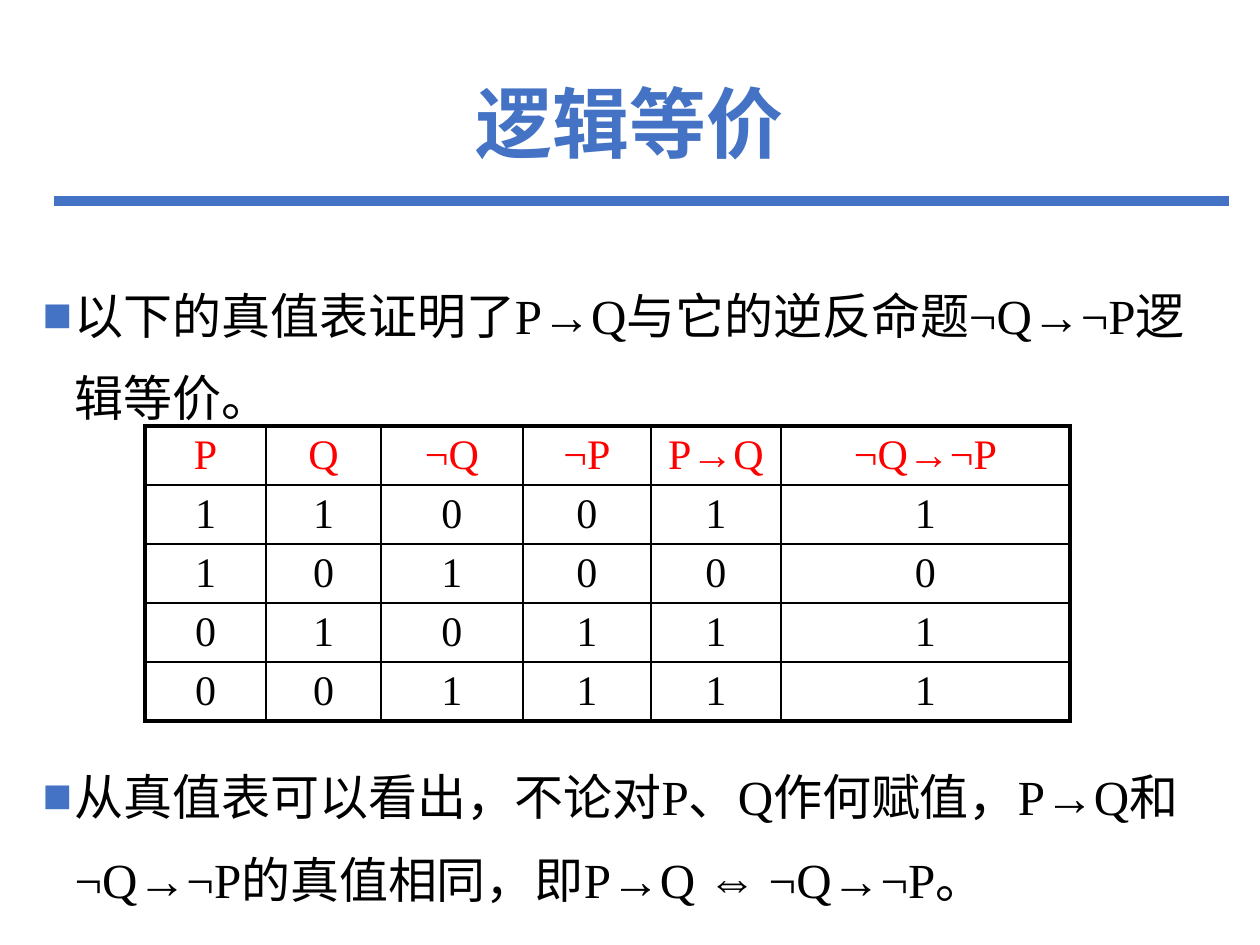
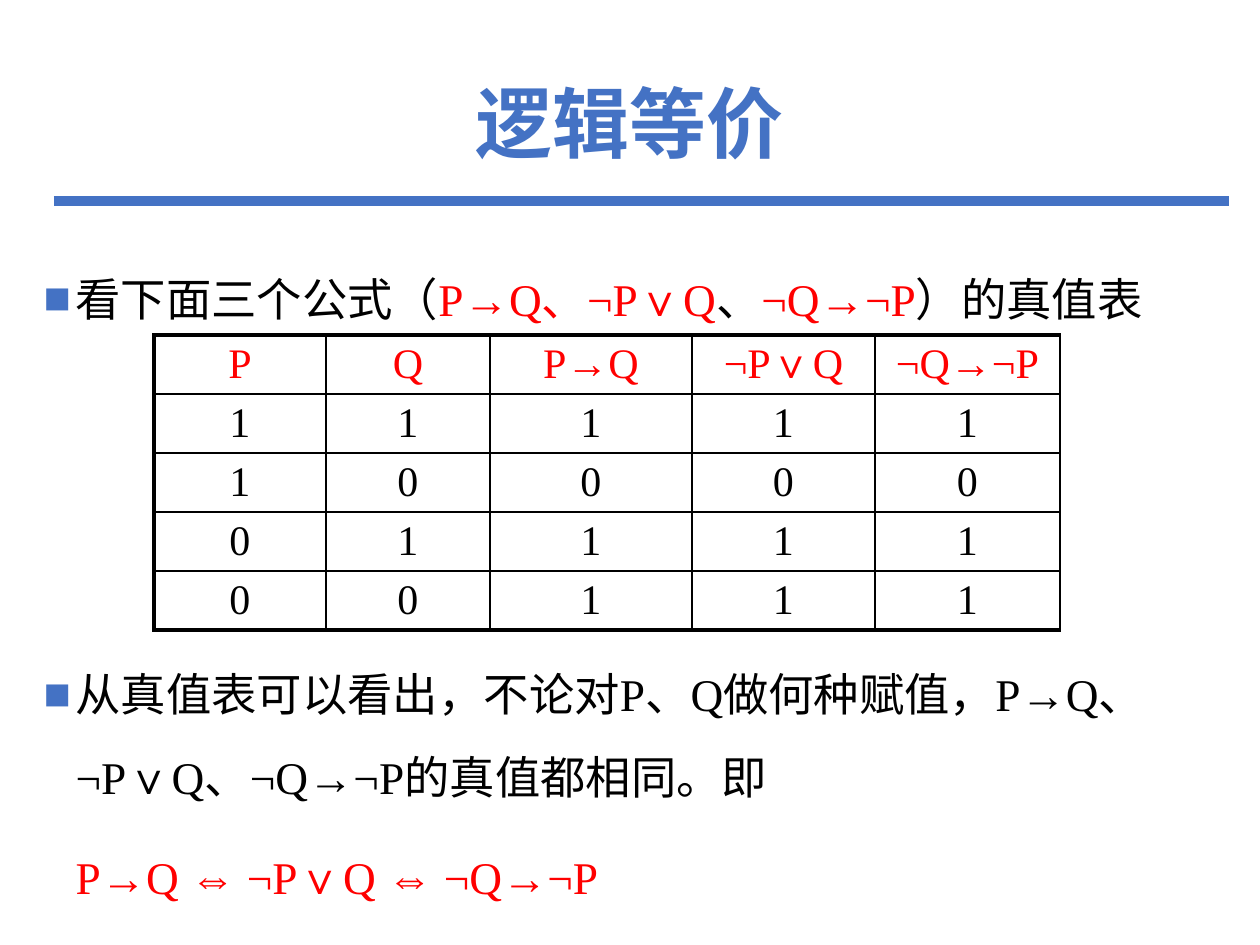
import pptx
import pptx.dml.color
import pptx.enum.shapes
import pptx.enum.text
import pptx.oxml
import pptx.oxml.ns
import pptx.util

BLUE = pptx.dml.color.RGBColor(0x44, 0x72, 0xC4)
RED = pptx.dml.color.RGBColor(0xFF, 0, 0)
BLACK = pptx.dml.color.RGBColor(0, 0, 0)
SANS = "Noto Sans CJK SC"
SERIF = "Times New Roman"
TITLE = "逻辑等价"
THICK, THIN = 2.25, 1
LEAD = 47
ROW = 59
ALIGN = pptx.enum.text.PP_ALIGN
MIDDLE = pptx.enum.text.MSO_ANCHOR.MIDDLE


def px(count):
    return pptx.util.Emu(round(count * 914400 / 126))


def add_xml(parent, tag, **attrs):
    node = pptx.oxml.parse_xml(f"<{tag} {pptx.oxml.ns.nsdecls('a')}/>")
    for name, value in attrs.items():
        node.set(name, str(value))
    parent.append(node)
    return node


def style(run, size, color, face=SERIF, bold=False):
    run.font.size = pptx.util.Pt(size)
    run.font.color.rgb = color
    run.font.name = face
    run.font.bold = bold


def set_east(run):
    """Choose the face for the Chinese characters of a run."""
    add_xml(run.font._element, "a:ea", typeface=SANS)


def place(shape, left, top, width, height):
    shape.left, shape.top = px(left), px(top)
    shape.width, shape.height = px(width), px(height)
    shape.text_frame.auto_size = pptx.enum.text.MSO_AUTO_SIZE.NONE
    shape.text_frame.word_wrap = True


def add_rule(slide):
    rule = slide.shapes.add_connector(
        pptx.enum.shapes.MSO_CONNECTOR.STRAIGHT,
        px(54), px(201), px(1229), px(201))
    rule.line.color.rgb = BLUE
    rule.line.width = pptx.util.Pt(6)
    add_xml(rule._element.spPr, "a:effectLst")


def add_slide(deck):
    """Add a slide with the shared title and the rule below it."""
    slide = deck.slides.add_slide(deck.slide_layouts[1])
    add_rule(slide)
    title = slide.shapes.title
    place(title, 87, 50, 1086, 156)
    frame = title.text_frame
    frame.text = TITLE
    frame.vertical_anchor = MIDDLE
    head = frame.paragraphs[0]
    head.alignment = ALIGN.CENTER
    head.line_spacing = 0.9
    style(head.runs[0], 44, BLUE, SANS, True)
    set_east(head.runs[0])
    return slide


def set_bullet(para, shown):
    props = para._p.get_or_add_pPr()
    indent = px(32)
    props.set("marL", str(indent))
    props.set("indent", str(-indent if shown else 0))
    if shown:
        color = add_xml(props, "a:buClr")
        add_xml(color, "a:srgbClr", val=BLUE)
        add_xml(props, "a:buFont", typeface=SERIF)
        add_xml(props, "a:buChar", char="■")
    else:
        add_xml(props, "a:buNone")


def fill_body(slide, left, top, size, items):
    """Fill the body; an item is (bullet shown, space before, parts)."""
    body = slide.placeholders[1]
    place(body, left, top, 1196, 689)
    frame = body.text_frame
    for index, (shown, gap, parts) in enumerate(items):
        para = frame.add_paragraph() if index else frame.paragraphs[0]
        set_bullet(para, shown)
        para.line_spacing = pptx.util.Pt(LEAD)
        para.space_before = pptx.util.Pt(gap)
        for text, color in parts:
            run = para.add_run()
            run.text = text
            style(run, size, color)
            set_east(run)


def set_border(cell, widths):
    props = cell._tc.get_or_add_tcPr()
    for side, width in zip("LRTB", widths):
        line = add_xml(props, f"a:ln{side}", w=pptx.util.Pt(width))
        fill = add_xml(line, "a:solidFill")
        add_xml(fill, "a:srgbClr", val=BLACK)


def set_cell(cell, text, color):
    cell.text = text
    cell.vertical_anchor = MIDDLE
    cell.margin_left = cell.margin_right = 0
    cell.margin_top = cell.margin_bottom = px(2)
    para = cell.text_frame.paragraphs[0]
    para.alignment = ALIGN.CENTER
    style(para.runs[0], 24, color)


def add_truth(slide, left, top, widths, heads, lines, right):
    """Draw a truth table; each line is a string of 0s and 1s."""
    rows = [heads, *lines]
    frame = slide.shapes.add_table(
        len(rows), len(heads), px(left), px(top),
        px(sum(widths)), px(ROW * len(rows)))
    table = frame.table
    table.first_row = table.horz_banding = False
    for column, width in zip(table.columns, widths):
        column.width = px(width)
    for y, row in enumerate(rows):
        table.rows[y].height = px(ROW)
        for x, text in enumerate(row):
            cell = table.cell(y, x)
            set_cell(cell, text, BLACK if y else RED)
            set_border(cell, (
                THIN if x else THICK,
                right if x == len(heads) - 1 else THIN,
                THIN if y else THICK,
                THICK if y == len(rows) - 1 else THIN))
            cell.fill.background()


def main():
    deck = pptx.Presentation()
    deck.slide_width, deck.slide_height = px(1260), px(945)

    slide = add_slide(deck)
    fill_body(slide, 30, 256, 28, [
        (True, 0, [("以下的真值表证明了P→Q与它的逆反命题¬Q→¬P逻辑等价。", BLACK)]),
        (True, 181, [("从真值表可以看出，不论对P、Q作何赋值，P→Q和¬Q→¬P的真值相同，"
                      "即P→Q ⇔ ¬Q→¬P。", BLACK)]),
    ])
    add_truth(slide, 145, 426, [121, 115, 142, 128, 130, 289],
              ["P", "Q", "¬Q", "¬P", "P→Q", "¬Q→¬P"],
              ["110011", "101000", "010111", "001111"], THICK)

    slide = add_slide(deck)
    fill_body(slide, 31, 237, 25.9, [
        (True, 0, [("看下面三个公式（", BLACK), ("P→Q、¬P∨Q", RED), ("、", BLACK),
                   ("¬Q→¬P", RED), ("）的真值表", BLACK)]),
        (True, 179, [("从真值表可以看出，不论对P、Q做何种赋值，P→Q、 ¬P∨Q、"
                      "¬Q→¬P的真值都相同。即", BLACK)]),
        (False, 10, [("P→Q ⇔ ¬P∨Q ⇔ ¬Q→¬P", RED)]),
    ])
    add_truth(slide, 154, 335, [172, 164, 202, 183, 185],
              ["P", "Q", "P→Q", "¬P∨Q", "¬Q→¬P"],
              ["11111", "10000", "01111", "00111"], THIN)

    deck.save("out.pptx")


if __name__ == "__main__":
    main()
